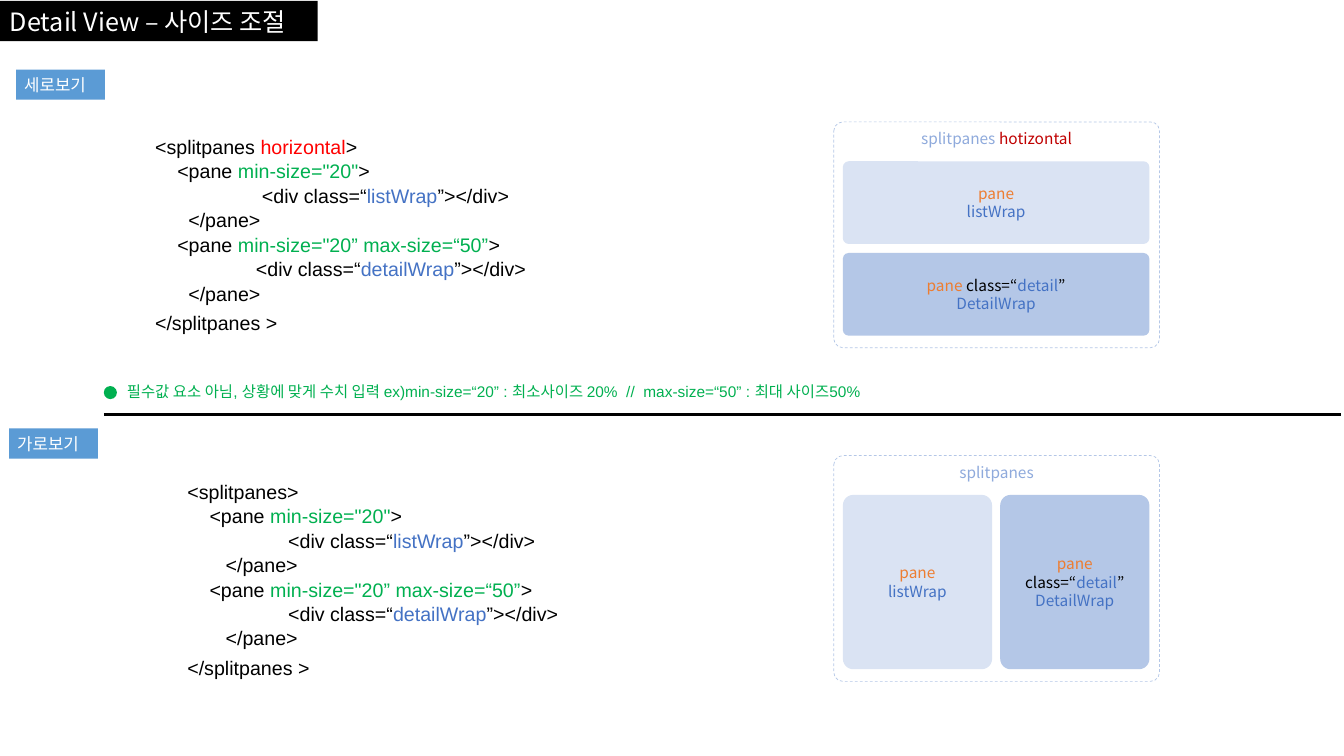
from pptx import Presentation
from pptx.dml.color import RGBColor
from pptx.enum.dml import MSO_LINE
from pptx.enum.shapes import MSO_CONNECTOR, MSO_SHAPE
from pptx.enum.text import MSO_ANCHOR, PP_ALIGN
from pptx.oxml.ns import qn
from pptx.util import Inches, Pt
from lxml.etree import SubElement

COLORS = {
    "black": "000000", "white": "FFFFFF", "red": "FF0000", "dark_red": "C00000",
    "green": "00B050", "blue": "4472C4", "label": "5B9BD5", "orange": "ED7D31",
    "light": "DAE3F3", "medium": "B4C7E7", "soft": "8FAADC",
}
KOREAN = "Noto Sans CJK KR"
LATIN = "Arial"


class SlideBuilder:
    def __init__(self, page):
        self.shapes = page.shapes

    def fill_text(self, box, lines, size, font, align=PP_ALIGN.LEFT,
                  anchor=MSO_ANCHOR.TOP, inset=0.1, right=0.1):
        frame = box.text_frame
        frame.word_wrap = True
        frame.vertical_anchor = anchor
        frame.margin_left, frame.margin_right = Inches(inset), Inches(right)
        for index, spans in enumerate(lines):
            para = frame.add_paragraph() if index else frame.paragraphs[0]
            para.alignment = align
            for text, color in spans:
                span = para.add_run()
                span.text = text
                span.font.size = Pt(size)
                span.font.name = font
                span.font.color.rgb = RGBColor.from_string(COLORS[color])
                east_asian = SubElement(span.font._element, qn("a:ea"))
                east_asian.set("typeface", KOREAN)
        return frame.paragraphs

    def text(self, left, top, width, height, lines, size):
        box = self.shapes.add_textbox(
            Inches(left), Inches(top), Inches(width), Inches(height))
        return self.fill_text(box, lines, size, LATIN)

    def shape(self, kind, left, top, width, height, fill=None, radius=None):
        box = self.shapes.add_shape(
            kind, Inches(left), Inches(top), Inches(width), Inches(height))
        box.shadow.inherit = False
        box.line.fill.background()
        if fill:
            box.fill.solid()
            box.fill.fore_color.rgb = RGBColor.from_string(COLORS[fill])
        else:
            box.fill.background()
        if radius:
            box.adjustments[0] = radius
        return box

    def label(self, left, top, text):
        box = self.shape(MSO_SHAPE.RECTANGLE, left, top, 0.88, 0.3, "label")
        self.fill_text(box, [[(text, "white")]], 12, KOREAN, inset=0.08, right=0)

    def pane(self, left, top, width, height, fill, lines):
        box = self.shape(MSO_SHAPE.ROUNDED_RECTANGLE, left, top, width, height, fill, 0.07)
        self.fill_text(box, lines, 11, KOREAN, PP_ALIGN.CENTER, MSO_ANCHOR.MIDDLE)

    def frame(self, top, spans):
        box = self.shape(MSO_SHAPE.ROUNDED_RECTANGLE, 8.27, top, 3.23, 2.24, radius=0.04)
        box.line.color.rgb = RGBColor.from_string(COLORS["medium"])
        box.line.width = Pt(0.5)
        box.line.dash_style = MSO_LINE.DASH
        self.fill_text(box, [spans], 11, KOREAN, PP_ALIGN.CENTER)

    def divider(self, left, right, top):
        line = self.shapes.add_connector(
            MSO_CONNECTOR.STRAIGHT, Inches(left), Inches(top), Inches(right), Inches(top))
        line.line.color.rgb = RGBColor.from_string(COLORS["black"])
        line.line.width = Pt(1.75)
        SubElement(line._element.spPr, qn("a:effectLst"))

    def code(self, left, top, width, opening, list_indent, detail_indent, close_indent):
        def pane_tag(sizes):
            return [("<pane ", "black"), (sizes, "green"), (">", "black")]

        def wrap_tag(name):
            return [("<div class=“", "black"), (name, "blue"), ("”></div>", "black")]

        pane_end = [("</pane>", "black")]
        rows = [
            (0, opening),
            (0.22, pane_tag('min-size="20"')),
            (list_indent, wrap_tag("listWrap")),
            (close_indent, pane_end),
            (0.22, pane_tag('min-size="20” max-size=“50”')),
            (detail_indent, wrap_tag("detailWrap")),
            (close_indent, pane_end),
            (0, [("</splitpanes >", "black")]),
        ]
        paras = self.text(left, top, width, 2.01, [spans for _, spans in rows], 14)
        for para, (indent, _) in zip(paras, rows):
            para._p.get_or_add_pPr().set("marL", str(Inches(indent)))
            para.line_spacing = 1.04
        paras[-1].line_spacing = 1.25


def main():
    deck = Presentation()
    deck.slide_width, deck.slide_height = Inches(13.33), Inches(7.5)
    page = deck.slides.add_slide(deck.slide_layouts[6])
    build = SlideBuilder(page)

    title = build.shape(MSO_SHAPE.RECTANGLE, 0, 0.01, 3.15, 0.4, "black")
    build.fill_text(title, [[("Detail View – 사이즈 조절", "white")]], 18, KOREAN)
    build.label(0.16, 0.69, "세로보기")
    build.label(0.09, 4.25, "가로보기")
    build.divider(1.03, 13.3, 4.11)

    build.code(1.44, 1.28, 4.07,
               [("<splitpanes ", "black"), ("horizontal", "red"), (">", "black")],
               1.06, 1, 0.33)
    build.code(1.76, 4.7, 4.33, [("<splitpanes>", "black")], 1, 1, 0.38)

    list_lines = [[("pane", "orange")], [("listWrap", "blue")]]
    detail_lines = [
        [("pane", "orange"), (" class=“", "black"), ("detail", "blue"), ("”", "black")],
        [("DetailWrap", "blue")],
    ]
    panes = [("light", list_lines), ("medium", detail_lines)]
    for index, (fill, lines) in enumerate(panes):
        build.pane(8.36, 1.6 + index * 0.91, 3.04, 0.82, fill, lines)
        build.pane(8.36 + index * 1.56, 4.91, 1.48, 1.73, fill, lines)
    build.frame(1.21, [("splitpanes ", "soft"), ("hotizontal", "dark_red")])
    build.frame(4.52, [("splitpanes", "soft")])

    build.shape(MSO_SHAPE.OVAL, 1.03, 3.83, 0.13, 0.13, "green")
    note = ("필수값 요소 아님, 상황에 맞게 수치 입력 ex)min-size=“20” : 최소사이즈 20%"
            "  //  max-size=“50” : 최대 사이즈50%")
    build.text(1.16, 3.74, 8.14, 0.29, [[(note, "green")]], 11)

    deck.save("out.pptx")


if __name__ == "__main__":
    main()
